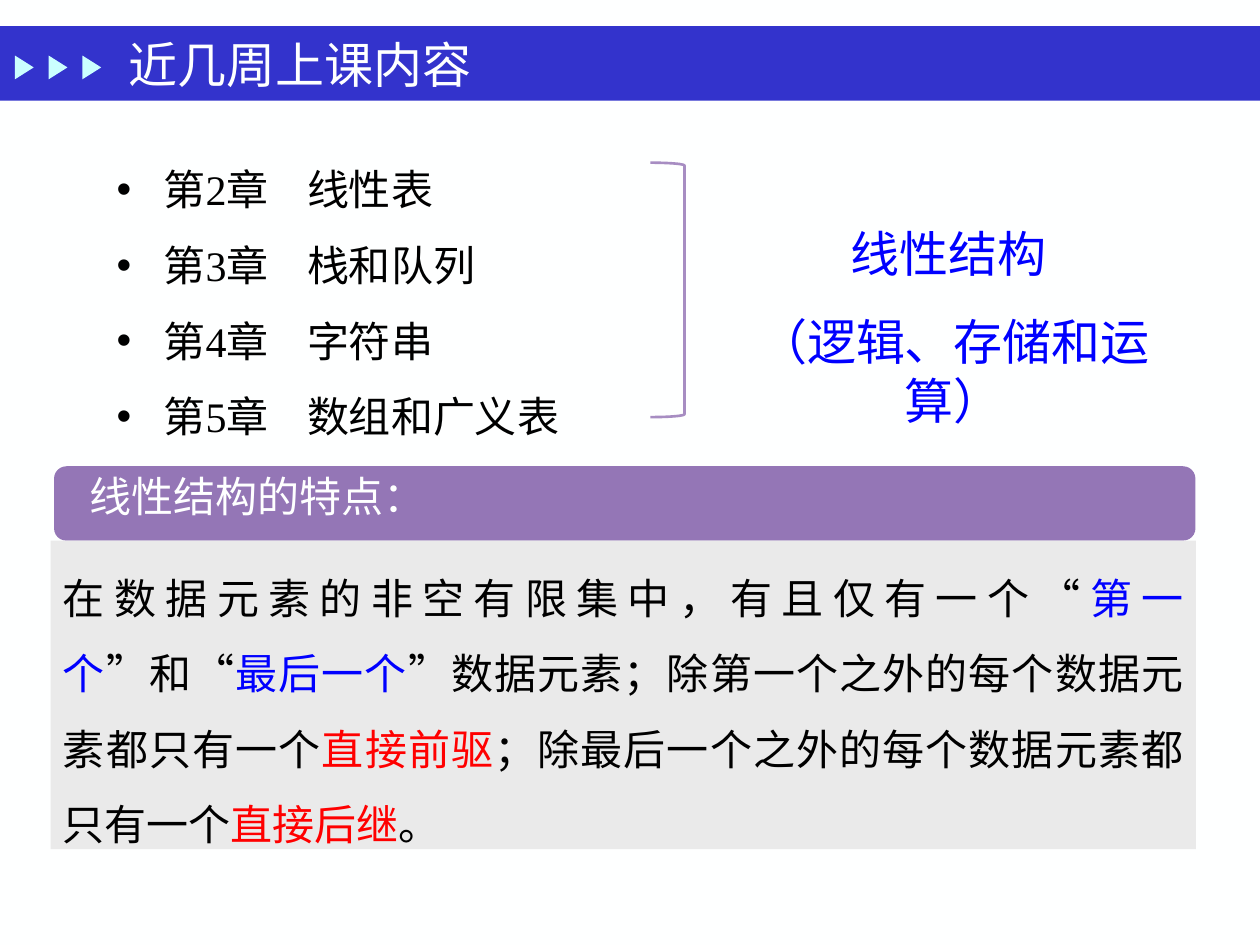
from lxml import etree
from pptx import Presentation
from pptx import util as u
from pptx.dml.color import RGBColor
from pptx.enum import shapes, text
from pptx.oxml.ns import qn

BLACK = RGBColor(0x00, 0x00, 0x00)
WHITE = RGBColor(0xFE, 0xFF, 0xFF)
BLUE = RGBColor(0x00, 0x00, 0xFF)
RED = RGBColor(0xFF, 0x00, 0x00)
NAVY = RGBColor(0x33, 0x33, 0xCC)
CYAN = RGBColor(0xCB, 0xFF, 0xFF)
PURPLE = RGBColor(0x94, 0x76, 0xB6)
LILAC = RGBColor(0xA7, 0x8D, 0xC2)
GREY = RGBColor(0xEA, 0xEA, 0xEA)

FONT = "Times New Roman"
KIND = shapes.MSO_SHAPE
LEFT = text.PP_ALIGN.LEFT
CENTER = text.PP_ALIGN.CENTER
JUSTIFY = text.PP_ALIGN.JUSTIFY

CHAPTERS = [
    ("第2章", "线性表"),
    ("第3章", "栈和队列"),
    ("第4章", "字符串"),
    ("第5章", "数组和广义表"),
]
FEATURES = [
    ("在数据元素的非空有限集中，有且仅有一个“", BLACK),
    ("第一个", BLUE),
    ("”和“", BLACK),
    ("最后一个", BLUE),
    ("”数据元素；除第一个之外的每个数据元素都只有一个", BLACK),
    ("直接前驱", RED),
    ("；除最后一个之外的每个数据元素都只有一个", BLACK),
    ("直接后继", RED),
    ("。", BLACK),
]


def box(*lengths):
    return [u.Cm(v) for v in lengths]


def add_shape(s, kind, at, fill=None, line=None):
    sp = s.shapes.add_shape(kind, *box(*at))
    sp.shadow.inherit = False
    if fill is None:
        sp.fill.background()
    else:
        sp.fill.solid()
        sp.fill.fore_color.rgb = fill
    if line is None:
        sp.line.fill.background()
    else:
        sp.line.color.rgb = line
        sp.line.width = u.Pt(1.5)
    return sp


def add_runs(p, runs, size, **fmt):
    for name, value in fmt.items():
        setattr(p, name, value)
    for words, color in runs:
        r = p.add_run()
        r.text = words
        for name, value in {"name": FONT, "size": u.Pt(size)}.items():
            setattr(r.font, name, value)
        r.font.color.rgb = color


def set_frame(tf, anchor=text.MSO_ANCHOR.TOP):
    for name, value in {"word_wrap": True, "vertical_anchor": anchor}.items():
        setattr(tf, name, value)
    return tf


def add_text(s, at, words, color, size, align=CENTER, anchor=text.MSO_ANCHOR.TOP):
    tf = set_frame(s.shapes.add_textbox(*box(*at)).text_frame, anchor)
    add_runs(tf.paragraphs[0], [(words, color)], size, alignment=align)


def add_bullet(p, indent, tab):
    pPr = p._p.get_or_add_pPr()
    pPr.set("marL", str(u.Cm(indent)))
    pPr.set("indent", str(-u.Cm(indent)))
    etree.SubElement(pPr, qn("a:buFont"), typeface="Arial")
    etree.SubElement(pPr, qn("a:buChar"), char="•")
    tabs = etree.SubElement(pPr, qn("a:tabLst"))
    etree.SubElement(tabs, qn("a:tab"), pos=str(u.Cm(tab)), algn="l")


def add_chapters(s):
    tf = set_frame(s.shapes.add_textbox(*box(2.1, 2.67, 15, 6.58)).text_frame)
    for i, chapter in enumerate(CHAPTERS):
        p = tf.add_paragraph() if i else tf.paragraphs[0]
        add_bullet(p, 0.95, 3.84)
        add_runs(p, [("\t".join(chapter), BLACK)], 24, line_spacing=1.5)


def add_header(s):
    add_shape(s, KIND.RECTANGLE, (0, 0.53, 25.4, 1.5), NAVY)
    for i in range(3):
        sp = add_shape(s, KIND.ISOSCELES_TRIANGLE, (0.25 + 0.68 * i, 1.17, 0.48, 0.38), CYAN)
        sp.rotation = 90
    add_text(s, (2.34, 0.66, 17.78, 1.27), "近几周上课内容", WHITE, 28, LEFT,
             text.MSO_ANCHOR.MIDDLE)


def add_features(s):
    add_shape(s, KIND.ROUNDED_RECTANGLE, (1.09, 9.4, 23.01, 1.5), PURPLE)
    sp = add_shape(s, KIND.RECTANGLE, (1.02, 10.9, 23.09, 6.22), GREY)
    tf = set_frame(sp.text_frame)
    add_runs(tf.paragraphs[0], FEATURES, 24, alignment=JUSTIFY, line_spacing=1.5)
    add_text(s, (0.03, 9.37, 10.34, 1.27), "线性结构的特点：", WHITE, 24)


def add_summary(s):
    add_text(s, (16.31, 4.39, 5.61, 1.45), "线性结构", BLUE, 28)
    add_text(s, (14.38, 6.15, 9.7, 2.64), "（逻辑、存储和运算）", BLUE, 28)
    add_shape(s, KIND.RIGHT_BRACKET, (13.11, 3.28, 0.69, 5.13), line=LILAC)


def main():
    prs = Presentation()
    prs.slide_width, prs.slide_height = box(25.4, 19.05)
    s = prs.slides.add_slide(prs.slide_layouts[6])
    s.background.fill.solid()
    s.background.fill.fore_color.rgb = WHITE
    add_header(s)
    add_chapters(s)
    add_features(s)
    add_summary(s)
    prs.save("out.pptx")


if __name__ == "__main__":
    main()
